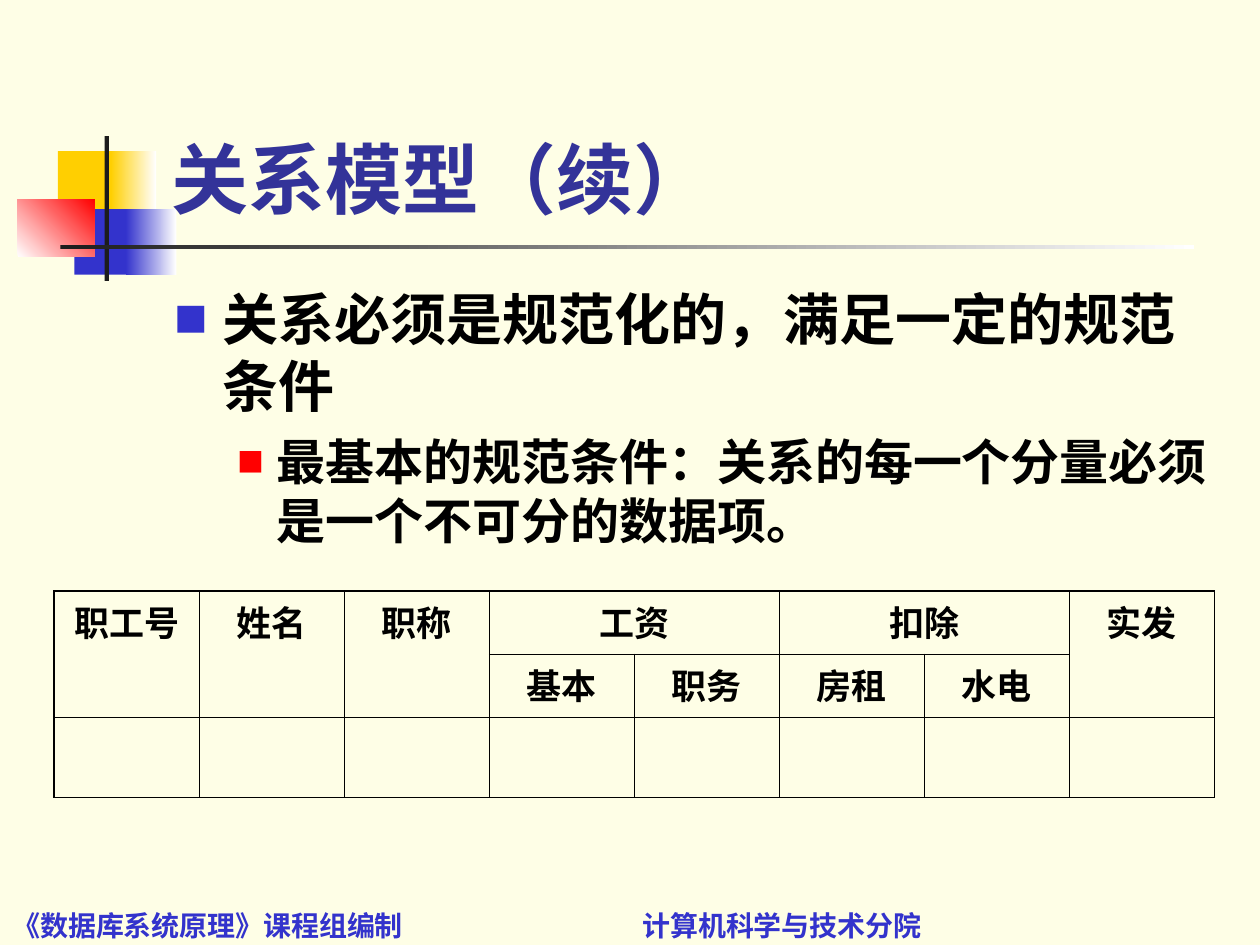
from typing import NamedTuple, Optional

from lxml.etree import SubElement
from pptx import Presentation
from pptx.dml.color import RGBColor
from pptx.enum.shapes import MSO_SHAPE as Preset
from pptx.enum.text import MSO_ANCHOR as Anchor, PP_ALIGN as Align
from pptx.oxml import parse_xml
from pptx.oxml.ns import nsdecls, qn
from pptx.util import Emu, Inches, Pt

CREAM = RGBColor(0xFE, 0xFE, 0xE6)
YELLOW = RGBColor(0xFF, 0xCF, 0x01)
BLUE = RGBColor(0x33, 0x33, 0xCC)
INDIGO = RGBColor(0x33, 0x33, 0x99)
RED = RGBColor(0xFF, 0x00, 0x00)
WHITE = RGBColor(0xFF, 0xFF, 0xFF)
CHARCOAL = RGBColor(0x1C, 0x1C, 0x1C)
BLACK = RGBColor(0x00, 0x00, 0x00)
WIDTH, HEIGHT = Inches(10), Inches(7.5)
GRID_COLUMNS, GRID_ROWS = 100, 75
MAIN_FONT, FOOTER_FONT = "Roboto", "Noto Sans CJK SC"
THIN, THICK = 0.45, 1.08


class Area(NamedTuple):
    """Left, top, width and height in grid columns and rows."""
    left: float
    top: float
    width: float
    height: float

    def lengths(self) -> list[Emu]:
        """Return the area as slide lengths."""
        column, row = WIDTH / GRID_COLUMNS, HEIGHT / GRID_ROWS
        return [Emu(round(share * unit)) for share, unit in zip(self, (column, row) * 2)]


class Ornament(NamedTuple):
    """A rectangle of the title decoration, plain or fading to a second colour."""
    area: Area
    color: RGBColor
    fade_to: Optional[RGBColor] = None
    angle: float = 0


class TextStyle(NamedTuple):
    """Size, colour and font of bold text."""
    size: float
    color: RGBColor = BLACK
    font: str = MAIN_FONT


class Point(NamedTuple):
    """A bulleted paragraph."""
    text: str
    size: float
    bullet_color: RGBColor
    bullet_percent: int
    margin: float
    hanging: float
    space_before: float


class Heading(NamedTuple):
    """A table heading with its place and span."""
    text: str
    row: int
    column: int
    rows: int = 1
    columns: int = 1


ORNAMENTS = [
    Ornament(Area(4.6, 12, 4.8, 5.2), YELLOW),
    Ornament(Area(8.8, 12, 3.6, 5.2), YELLOW, WHITE),
    Ornament(Area(5.9, 16.6, 4.6, 5.2), BLUE),
    Ornament(Area(10, 16.6, 4, 5.2), BLUE, WHITE),
    Ornament(Area(1.4, 15.8, 6.1, 4.6), WHITE, RED, 45),
    Ornament(Area(8.3, 10.8, 0.35, 11.5), CHARCOAL),
    Ornament(Area(4.8, 19.45, 90, 0.35), CHARCOAL, WHITE),
]
POINTS = [
    Point("关系必须是规范化的，满足一定的规范条件", 32, BLUE, 60, 0.38, 0.38, 0),
    Point("最基本的规范条件：关系的每一个分量必须是一个不可分的数据项。", 28, RED, 55, 0.81, 0.31, 7),
]
HEADINGS = [
    Heading("职工号", 0, 0, rows=2),
    Heading("姓名", 0, 1, rows=2),
    Heading("职称", 0, 2, rows=2),
    Heading("工资", 0, 3, columns=2),
    Heading("扣除", 0, 5, columns=2),
    Heading("实发", 0, 7, rows=2),
    *(Heading(text, 1, column) for column, text in enumerate(("基本", "职务", "房租", "水电"), 3)),
]
TABLE_COLUMNS = 8
TABLE_ROW_HEIGHTS = (0.5, 0.5, 0.64)


def draw_ornament(slide, ornament: Ornament) -> None:
    """Draw one rectangle of the decoration."""
    block = slide.shapes.add_shape(Preset.RECTANGLE, *ornament.area.lengths())
    block.shadow.inherit = False
    block.line.fill.background()
    if ornament.fade_to is None:
        block.fill.solid()
        block.fill.fore_color.rgb = ornament.color
        return
    block.fill.gradient()
    block.fill.gradient_angle = ornament.angle
    for position, (stop, color) in enumerate(
        zip(block.fill.gradient_stops, (ornament.color, ornament.fade_to))
    ):
        stop.position = position
        stop.color.rgb = color


def add_run(paragraph, text: str, style: TextStyle) -> None:
    """Add a bold run in the given style."""
    run = paragraph.add_run()
    run.text = text
    run.font.size, run.font.bold, run.font.name = Pt(style.size), True, style.font
    run.font.color.rgb = style.color
    SubElement(run.font._element, qn("a:ea"), typeface=style.font)


def add_frame(slide, area: Area, anchor: Anchor):
    """Add a wrapping text box and return its frame."""
    frame = slide.shapes.add_textbox(*area.lengths()).text_frame
    frame.word_wrap = True
    frame.vertical_anchor = anchor
    return frame


def add_point(paragraph, point: Point) -> None:
    """Fill a paragraph with a square-bulleted point."""
    properties = paragraph._p.get_or_add_pPr()
    properties.set("marL", str(Inches(point.margin)))
    properties.set("indent", str(-Inches(point.hanging)))
    paragraph.space_before = Pt(point.space_before)
    bullet_color = SubElement(properties, qn("a:buClr"))
    SubElement(bullet_color, qn("a:srgbClr"), val=str(point.bullet_color))
    SubElement(properties, qn("a:buSzPct"), val=str(point.bullet_percent * 1000))
    SubElement(properties, qn("a:buFont"), typeface=FOOTER_FONT)
    SubElement(properties, qn("a:buChar"), char="■")
    add_run(paragraph, point.text, TextStyle(point.size))


def draw_footer(slide) -> None:
    """Write both footer parts on one line, split by a tab stop."""
    frame = add_frame(slide, Area(0, 71, 100, 4), Anchor.BOTTOM)
    frame.margin_bottom = Inches(0.02)
    line = frame.paragraphs[0]
    tabs = SubElement(line._p.get_or_add_pPr(), qn("a:tabLst"))
    SubElement(tabs, qn("a:tab"), pos=str(Inches(5)), algn="l")
    add_run(line, "《数据库系统原理》课程组编制\t计算机科学与技术分院", TextStyle(16, BLUE, FOOTER_FONT))


def set_borders(cell, outer_sides: dict[str, bool]) -> None:
    """Draw the cell borders, thick on the outer sides."""
    properties = cell._tc.get_or_add_tcPr()
    for index, (side, is_outer) in enumerate(outer_sides.items()):
        width = Pt(THICK if is_outer else THIN)
        properties.insert(index, parse_xml(
            f'<a:ln{side} {nsdecls("a")} w="{width}"><a:solidFill>'
            f'<a:srgbClr val="{BLACK}"/></a:solidFill></a:ln{side}>'
        ))


def draw_salary_table(slide) -> None:
    """Draw the salary table with its two-level headings."""
    area = Area(4.3, 46.9, 92.1, 10 * sum(TABLE_ROW_HEIGHTS))
    row_count = len(TABLE_ROW_HEIGHTS)
    table = slide.shapes.add_table(row_count, TABLE_COLUMNS, *area.lengths()).table
    table.first_row = table.horz_banding = False
    for row, height in enumerate(TABLE_ROW_HEIGHTS):
        table.rows[row].height = Inches(height)
        for column in range(TABLE_COLUMNS):
            cell = table.cell(row, column)
            cell.fill.background()
            set_borders(cell, {
                "L": column == 0, "R": column == TABLE_COLUMNS - 1,
                "T": row == 0, "B": row == row_count - 1,
            })
    for heading in HEADINGS:
        cell = table.cell(heading.row, heading.column)
        if heading.rows * heading.columns > 1:
            cell.merge(table.cell(heading.row + heading.rows - 1,
                                  heading.column + heading.columns - 1))
        cell.margin_top = Inches(0.1)
        cell.text_frame.paragraphs[0].alignment = Align.CENTER
        add_run(cell.text_frame.paragraphs[0], heading.text, TextStyle(20))


def main() -> None:
    """Build the slide and save it."""
    deck = Presentation()
    deck.slide_width, deck.slide_height = WIDTH, HEIGHT
    slide = deck.slides.add_slide(deck.slide_layouts[6])
    slide.background.fill.solid()
    slide.background.fill.fore_color.rgb = CREAM
    for ornament in ORNAMENTS:
        draw_ornament(slide, ornament)
    draw_footer(slide)
    title = add_frame(slide, Area(12.6, 2.3, 85.2, 16), Anchor.BOTTOM)
    add_run(title.paragraphs[0], "关系模型（续）", TextStyle(44, INDIGO))
    body = add_frame(slide, Area(12.9, 22.1, 85, 48.5), Anchor.TOP)
    for index, point in enumerate(POINTS):
        add_point(body.add_paragraph() if index else body.paragraphs[0], point)
    draw_salary_table(slide)
    deck.save("out.pptx")


if __name__ == "__main__":
    main()
